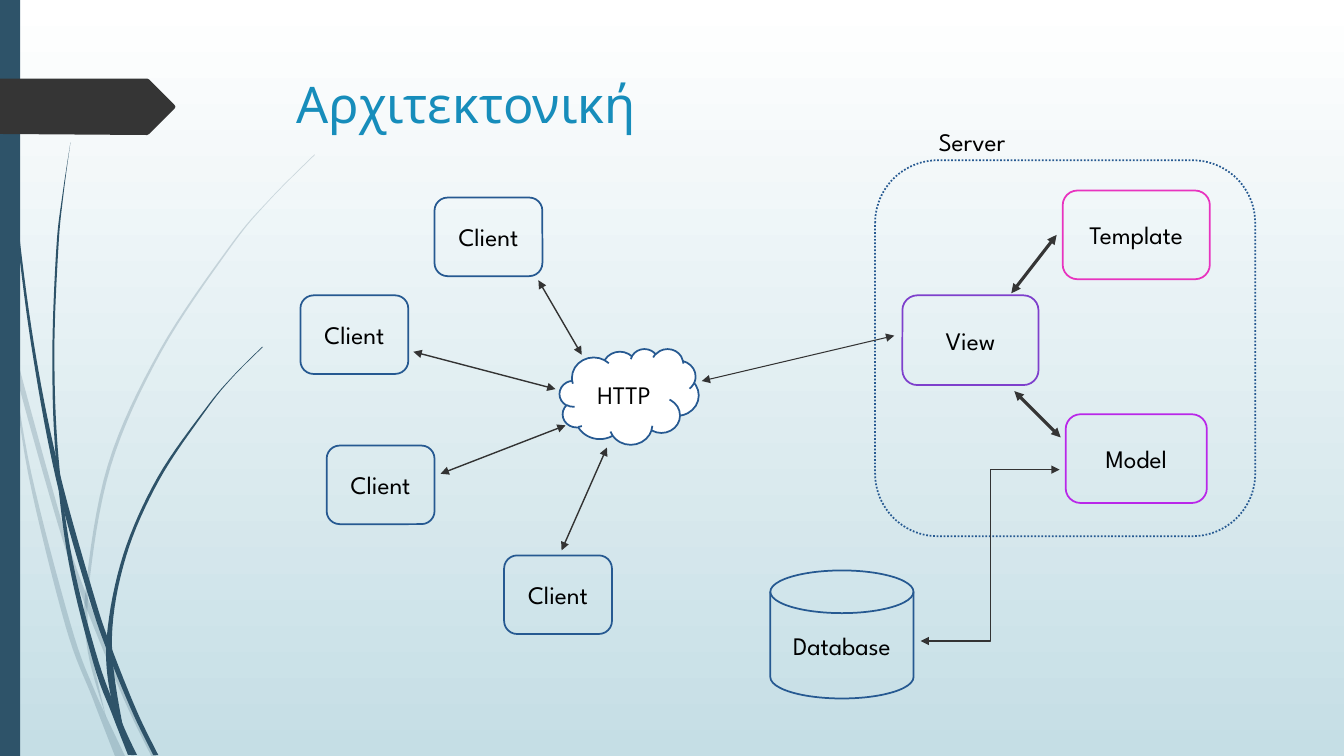
from lxml.etree import SubElement
from pptx import Presentation
from pptx.dml.color import RGBColor
from pptx.enum.dml import MSO_LINE
from pptx.enum.shapes import MSO_CONNECTOR as Link, MSO_SHAPE as Shape
from pptx.enum.text import MSO_ANCHOR as Anchor, PP_ALIGN as Align
from pptx.oxml.ns import qn
from pptx.util import Cm, Pt

INCH = 2.54
BLUE, DARK, ARROW = "265991", "353535", "333333"
STEM = "2E5369"
CLIENT_SIZE = (1.07, 0.78)


def color(value):
    return RGBColor.from_string(value)


def lengths(*inches):
    return [Cm(value * INCH) for value in inches]


def smooth(knots, steps=8):
    """Sample a Catmull-Rom curve through the knots."""
    padded = [knots[0], *knots, knots[-1]]
    points = []
    for a, b, c, d in zip(padded, padded[1:], padded[2:], padded[3:]):
        for step in range(steps):
            t = step / steps
            points.append(tuple(
                q + t / 2 * (r - p + t * (2 * p - 5 * q + 4 * r - s
                                          + t * (3 * (q - r) + s - p)))
                for p, q, r, s in zip(a, b, c, d)))
    return points + [knots[-1]]


class Diagram:
    font = "League Spartan"

    def __init__(self, slide):
        self.slide = slide
        self.shapes = slide.shapes

    def background(self, top, bottom):
        fill = self.slide.background.fill
        fill.gradient()
        fill.gradient_angle = 270
        for stop, position, value in zip(fill.gradient_stops, (0, 1), (top, bottom)):
            stop.position = position
            stop.color.rgb = color(value)

    def paint(self, shape, fill=None, line=None, width=1.25):
        shape.shadow.inherit = False
        for part, value in ((shape.fill, fill), (shape.line.fill, line)):
            if value:
                part.solid()
                part.fore_color.rgb = color(value)
            else:
                part.background()
        if line:
            shape.line.width = Pt(width)

    def set_text(self, shape, text, size=18, value="000000", align=Align.CENTER):
        shape.text_frame.text = text
        shape.text_frame.word_wrap = True
        paragraph = shape.text_frame.paragraphs[0]
        paragraph.alignment = align
        font = paragraph.runs[0].font
        font.name, font.size = self.font, Pt(size)
        font.color.rgb = color(value)

    def node(self, kind, box, text="", line=None, fill=None):
        shape = self.shapes.add_shape(kind, *lengths(*box))
        self.paint(shape, fill, line)
        if text:
            self.set_text(shape, text)
            shape.text_frame.vertical_anchor = Anchor.MIDDLE
        return shape

    def label(self, box, text, **style):
        self.set_text(self.shapes.add_textbox(*lengths(*box)), text, **style)

    def outline(self, points, fill, opacity=100):
        start, *others = [lengths(*point) for point in points]
        builder = self.shapes.build_freeform(*start)
        builder.add_line_segments(others, close=True)
        shape = builder.convert_to_shape()
        self.paint(shape, fill)
        if opacity < 100:
            tint = shape._element.spPr.find(qn("a:solidFill"))[0]
            SubElement(tint, qn("a:alpha"), val=str(opacity * 1000))

    def arrow(self, start, end, width=1, value=ARROW, kind=Link.STRAIGHT):
        connector = self.shapes.add_connector(kind, *lengths(*start, *end))
        connector.line.width = Pt(width)
        connector.line.color.rgb = color(value)
        properties = connector._element.spPr
        for tip in ("a:headEnd", "a:tailEnd"):
            SubElement(properties.find(qn("a:ln")), qn(tip), type="triangle")
        SubElement(properties, qn("a:effectLst"))


# Each stem has a left and a right edge, from tip to root
PALE_STEMS = [
    ([(0, 2.99), (0.17, 3.76), (0.58, 5.22), (0.84, 5.99), (1.23, 6.94), (1.5, 7.5)],
     [(0, 2.82), (0.14, 3.45), (0.62, 5.2), (0.88, 5.96), (1.27, 6.92), (1.55, 7.5)]),
    ([(0.11, 3.5), (0.28, 4.7), (0.65, 6.21), (0.92, 6.93), (1.14, 7.5)],
     [(0.11, 3.5), (0.31, 4.69), (0.7, 6.19), (0.93, 6.83), (1.24, 7.5)]),
    ([(3.12, 1.53), (2.68, 1.97), (2.28, 2.44), (1.58, 3.48), (1.07, 4.61),
      (0.85, 5.84), (0.87, 6.46), (1.05, 7.11)],
     [(3.12, 1.54), (2.68, 1.98), (2.29, 2.45), (1.6, 3.49), (1.1, 4.62),
      (0.88, 5.84), (0.91, 6.46), (1.05, 7.11)]),
]
DARK_STEMS = [
    ([(0.03, 0), (0.07, 1.1), (0.17, 2.33), (0.33, 3.55), (0.56, 4.77),
      (0.88, 5.92), (1.08, 6.5), (1.32, 7.08), (1.52, 7.49)],
     [(0.04, 0), (0.08, 1.09), (0.19, 2.32), (0.36, 3.55), (0.6, 4.72),
      (0.93, 5.9), (1.1, 6.41), (1.36, 7.06), (1.57, 7.49)]),
    ([(0.7, 1.41), (0.62, 1.93), (0.56, 2.45), (0.52, 3.49), (0.55, 4.49),
      (0.68, 5.57), (0.93, 6.59), (1.11, 7.08), (1.27, 7.49)],
     [(0.7, 1.41), (0.63, 1.93), (0.58, 2.45), (0.54, 3.49), (0.58, 4.53),
      (0.72, 5.56), (0.98, 6.57), (1.22, 7.19), (1.36, 7.49)]),
    ([(2.6, 3.44), (2.31, 3.73), (2.04, 4.05), (1.56, 4.74), (1.22, 5.51),
      (1.06, 6.31), (1.1, 6.91), (1.3, 7.49)],
     [(2.61, 3.44), (2.31, 3.74), (2.05, 4.06), (1.58, 4.76), (1.25, 5.52),
      (1.11, 6.33), (1.21, 7.16), (1.33, 7.49)]),
]
TAG = [(0, 0.78), (1.46, 0.78), (1.48, 0.79), (1.73, 1.04), (1.74, 1.06),
       (1.73, 1.08), (1.48, 1.33), (1.46, 1.34), (0, 1.33)]

# Client corner, then the two ends of its arrow to the cloud
CLIENTS = [
    ((4.31, 1.96), (5.34, 2.78), (5.77, 3.52)),
    ((2.98, 2.93), (4.1, 3.49), (5.51, 3.86)),
    ((3.24, 4.42), (4.37, 4.7), (5.61, 4.22)),
    ((5, 5.51), (5.57, 5.46), (6.02, 4.44)),
]
SERVER_PARTS = [
    ("View", (8.95, 2.93, 1.35, 0.89), "7E40CC"),
    ("Model", (10.57, 4.11, 1.4, 0.88), "B927E9"),
    ("Template", (10.54, 1.89, 1.46, 0.88), "E833BF"),
]


def main():
    presentation = Presentation()
    presentation.slide_width, presentation.slide_height = lengths(13.33, 7.5)
    slide = presentation.slides.add_slide(presentation.slide_layouts[6])
    diagram = Diagram(slide)

    # Backdrop
    diagram.background("FFFFFF", "C5DEE5")
    for stems, opacity in ((PALE_STEMS, 20), (DARK_STEMS, 100)):
        for left, right in stems:
            diagram.outline(smooth(left) + smooth(right)[::-1], STEM, opacity)
    diagram.node(Shape.RECTANGLE, (0, 0, 0.2, 7.5), fill=STEM)
    diagram.outline(TAG, DARK)

    # Title
    diagram.label((2.84, 0.68, 9.75, 1.4), "Αρχιτεκτονική", size=36,
                  value="178DBB", align=Align.LEFT)

    # Server and its parts
    server = diagram.node(Shape.ROUNDED_RECTANGLE, (8.68, 1.59, 3.77, 3.73), line=BLUE)
    server.line.dash_style = MSO_LINE.ROUND_DOT
    diagram.label((8.14, 1.2, 3, 0.4), "Server")
    for name, box, line in SERVER_PARTS:
        diagram.node(Shape.ROUNDED_RECTANGLE, box, name, line)
    diagram.arrow((10.06, 3.88), (10.52, 4.34), 2.25, DARK)
    diagram.arrow((10.03, 2.91), (10.48, 2.33), 2.25, DARK)

    # Clients around the cloud
    for corner, start, end in CLIENTS:
        diagram.node(Shape.ROUNDED_RECTANGLE, corner + CLIENT_SIZE, "Client", BLUE)
        diagram.arrow(start, end)
    diagram.node(Shape.CLOUD, (5.55, 3.46, 1.38, 0.95), "HTTP", BLUE, "FFFFFF")
    diagram.arrow((6.96, 3.78), (8.87, 3.33), 0.75)

    # Database
    diagram.node(Shape.FLOWCHART_MAGNETIC_DISK, (7.64, 5.66, 1.42, 1.27), "Database", BLUE)
    diagram.arrow((9.13, 6.36), (10.51, 4.66), 0.75, kind=Link.ELBOW)

    presentation.save("out.pptx")


if __name__ == "__main__":
    main()
